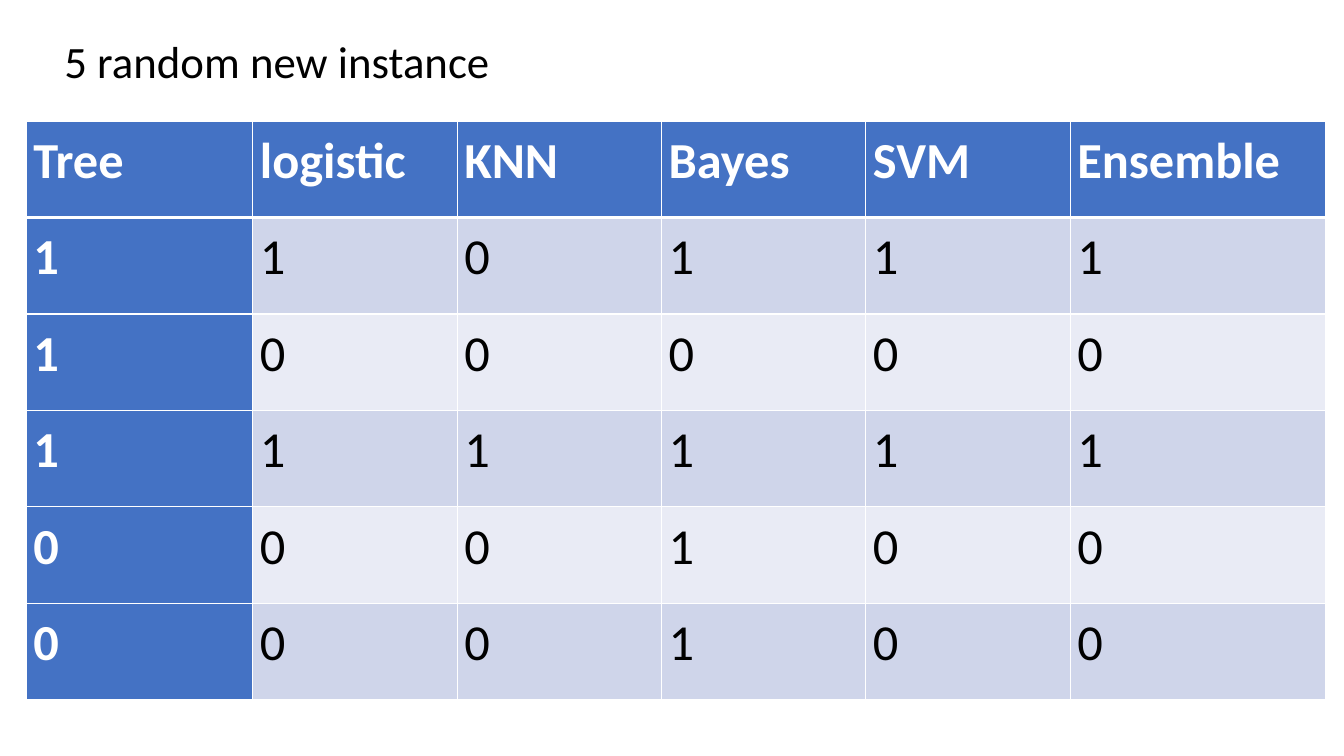
import pptx
import pptx.dml.color
import pptx.enum.text
import pptx.oxml
import pptx.oxml.ns
import pptx.util

Cm = pptx.util.Cm
Pt = pptx.util.Pt
RGBColor = pptx.dml.color.RGBColor

# Content
HEADING = "5 random new instance"
MODELS = ["Tree", "logistic", "KNN", "Bayes", "SVM", "Ensemble"]
PREDICTIONS = [
    [1, 1, 0, 1, 1, 1],
    [1, 0, 0, 0, 0, 0],
    [1, 1, 1, 1, 1, 1],
    [0, 0, 0, 1, 0, 0],
    [0, 0, 0, 1, 0, 0],
]

# Style
FONT = "Calibri"
BLACK = RGBColor(0x00, 0x00, 0x00)
WHITE = RGBColor(0xFF, 0xFF, 0xFF)
BLUE = RGBColor(0x44, 0x72, 0xC4)
BANDS = [RGBColor(0xCF, 0xD5, 0xEA), RGBColor(0xE9, 0xEB, 0xF5)]

# Layout in centimetres
COLUMN_WIDTHS = [5.71] + [5.15] * 4 + [6.43]
ROW_HEIGHT = 2.43


def write(frame, text, size, color=BLACK, bold=False, spacing=1.0, after=0):
    paragraph = frame.paragraphs[0]
    paragraph.alignment = pptx.enum.text.PP_ALIGN.LEFT
    paragraph.line_spacing = spacing
    paragraph.space_before = Pt(0)
    paragraph.space_after = Pt(after)
    run = paragraph.add_run()
    run.text = text
    run.font.name = FONT
    run.font.size = Pt(size)
    run.font.bold = bold
    run.font.color.rgb = color


def set_borders(cell, **widths):
    properties = cell._tc.get_or_add_tcPr()
    for position, side in enumerate("LRTB"):
        line = pptx.oxml.parse_xml(
            f'<a:ln{side} {pptx.oxml.ns.nsdecls("a")} w="{Pt(widths.get(side, 1))}">'
            f'<a:solidFill><a:srgbClr val="{WHITE}"/></a:solidFill></a:ln{side}>'
        )
        properties.insert(position, line)


presentation = pptx.Presentation()
presentation.slide_width = Cm(33.87)
presentation.slide_height = Cm(19.05)
slide = presentation.slides.add_slide(presentation.slide_layouts[5])

# Heading
heading = slide.shapes.title
heading.left, heading.top = Cm(1.37), Cm(0.71)
heading.width, heading.height = Cm(11.61), Cm(1.63)
heading.text_frame.word_wrap = False
heading.text_frame.auto_size = pptx.enum.text.MSO_AUTO_SIZE.NONE
heading.text_frame.vertical_anchor = pptx.enum.text.MSO_ANCHOR.TOP
write(heading.text_frame, HEADING, 32)

# Table of predictions per model
rows = [MODELS] + PREDICTIONS
predictions = slide.shapes.add_table(
    len(rows), len(MODELS), Cm(0.66), Cm(3.05),
    Cm(sum(COLUMN_WIDTHS)), Cm(ROW_HEIGHT * len(rows)),
).table
predictions.first_col = True
for column, width in zip(predictions.columns, COLUMN_WIDTHS):
    column.width = Cm(width)

for r, values in enumerate(rows):
    predictions.rows[r].height = Cm(ROW_HEIGHT)
    for c, value in enumerate(values):
        cell = predictions.cell(r, c)
        is_label = r == 0 or c == 0
        cell.margin_left = cell.margin_right = Cm(0.18)
        cell.margin_top = cell.margin_bottom = 0
        cell.fill.solid()
        cell.fill.fore_color.rgb = BLUE if is_label else BANDS[(r - 1) % 2]
        set_borders(cell, T=3 if r == 1 else 1, B=3 if r == 0 else 1)
        write(cell.text_frame, str(value), 36, bold=is_label,
              color=WHITE if is_label else BLACK, spacing=1.15, after=10)

presentation.save("out.pptx")
